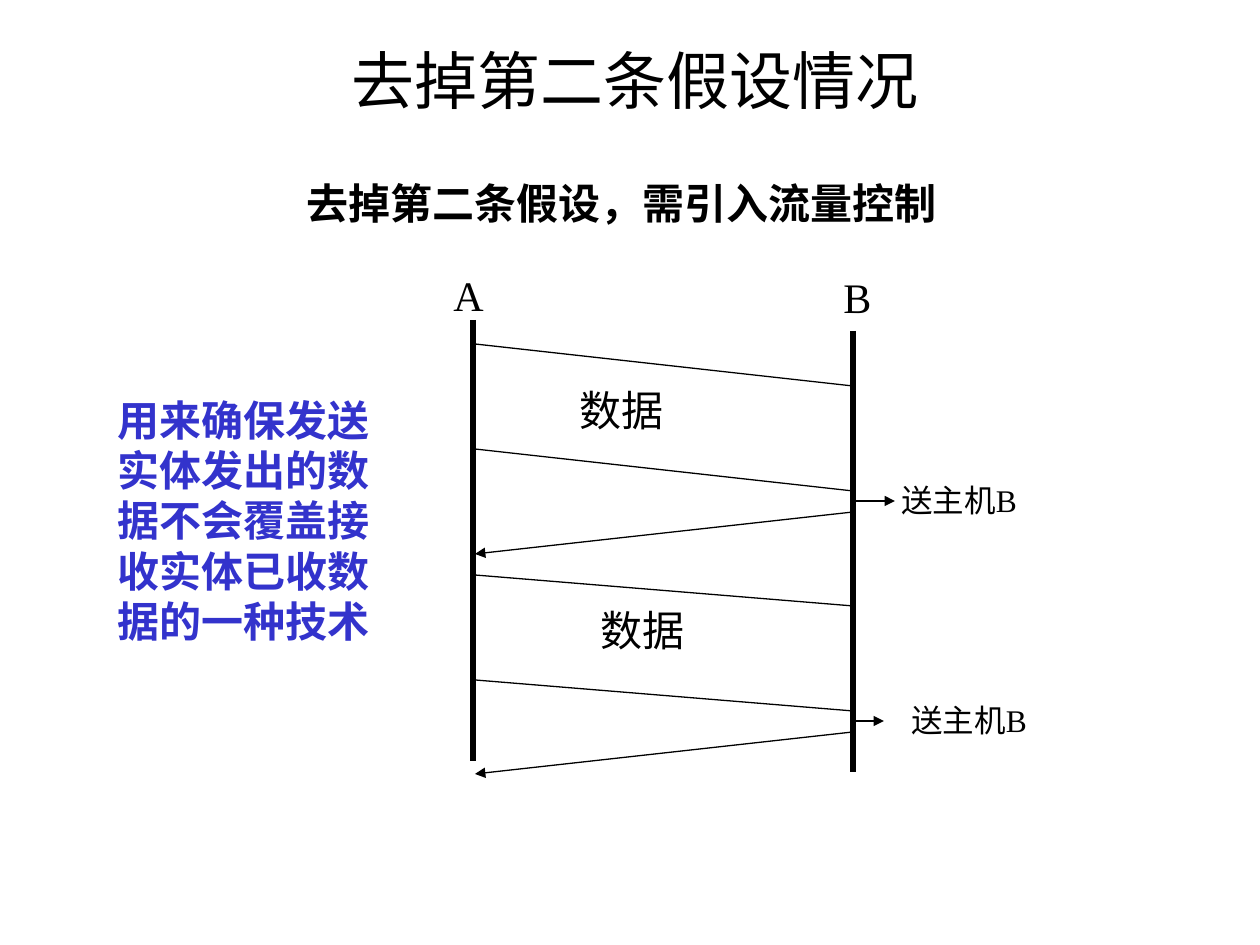
from lxml import etree
from pptx import Presentation
from pptx.dml.color import RGBColor
from pptx.enum.shapes import MSO_CONNECTOR
from pptx.enum.text import MSO_ANCHOR, MSO_AUTO_SIZE, PP_ALIGN
from pptx.oxml.ns import qn
from pptx.util import Pt

PX = 914400 // 126
STRAIGHT = MSO_CONNECTOR.STRAIGHT
TOP, MIDDLE = MSO_ANCHOR.TOP, MSO_ANCHOR.MIDDLE
LEFT, CENTER = PP_ALIGN.LEFT, PP_ALIGN.CENTER
GROW, FIXED = MSO_AUTO_SIZE.SHAPE_TO_FIT_TEXT, MSO_AUTO_SIZE.NONE
BLACK, BLUE = "000000", "3333CC"
HOST_A, HOST_B = 473, 853
EDGE_A = HOST_A + 2


def rgb(code):
    return RGBColor.from_string(code)


def add_text(slide, text, box, size=24, font="Times New Roman", color=BLACK,
             bold=False, wrap=False, align=LEFT, anchor=TOP, fit=GROW):
    shape = slide.shapes.add_textbox(*(n * PX for n in box))
    frame = shape.text_frame
    frame.word_wrap = wrap
    frame.auto_size = fit
    frame.vertical_anchor = anchor
    para = frame.paragraphs[0]
    para.alignment = align
    run = para.add_run()
    run.text = text
    run.font.size = Pt(size)
    run.font.name = font
    run.font.bold = bold
    run.font.color.rgb = rgb(color)


def add_line(slide, start, end, width=0.75, arrow=False):
    line = slide.shapes.add_connector(
        STRAIGHT, *(n * PX for n in (*start, *end)))
    line.line.color.rgb = rgb(BLACK)
    line.line.width = Pt(width)
    props = line._element.spPr
    if arrow:
        etree.SubElement(props.find(qn("a:ln")), qn("a:tailEnd"), type="triangle")
    etree.SubElement(props, qn("a:effectLst"))


def add_host(slide, name, x, top, label):
    add_line(slide, (x, top), (x, top + 441), width=3)
    add_text(slide, name, label)


def add_round(slide, top, drop, reply, reach, data, note):
    """Draw one data frame, its delivery to host B and the reply to A."""
    for y in (top, top + 105):
        add_line(slide, (EDGE_A, y), (HOST_B, y + drop))
    add_line(slide, (HOST_B, reply), (EDGE_A, reply + 42), arrow=True)
    send = reply - 11
    add_line(slide, (HOST_B, send), (HOST_B + reach, send), arrow=True)
    add_text(slide, "数据", (*data, 110, 63))
    add_text(slide, "送主机B", (note, send - 26, 149, 50), size=18)


def main():
    deck = Presentation()
    deck.slide_width, deck.slide_height = 1260 * PX, 945 * PX
    slide = deck.slides.add_slide(deck.slide_layouts[6])

    add_text(slide, "去掉第二条假设情况", (105, 0, 1061, 158), size=36,
             wrap=True, align=CENTER, anchor=MIDDLE, fit=FIXED)
    add_text(slide, "去掉第二条假设，需引入流量控制", (294, 171, 656, 63), bold=True)
    add_text(slide, "用来确保发送实体发出的数据不会覆盖接收实体已收数据的一种技术",
             (105, 388, 305, 265), font="Arial", color=BLUE, bold=True, wrap=True)

    add_host(slide, "A", HOST_A, 320, (441, 263, 55, 63))
    add_host(slide, "B", HOST_B, 331, (831, 265, 53, 63))
    add_round(slide, 344, 42, 512, 42, (567, 378), 889)
    add_round(slide, 575, 31, 732, 31, (588, 598), 899)
    deck.save("out.pptx")


if __name__ == "__main__":
    main()
